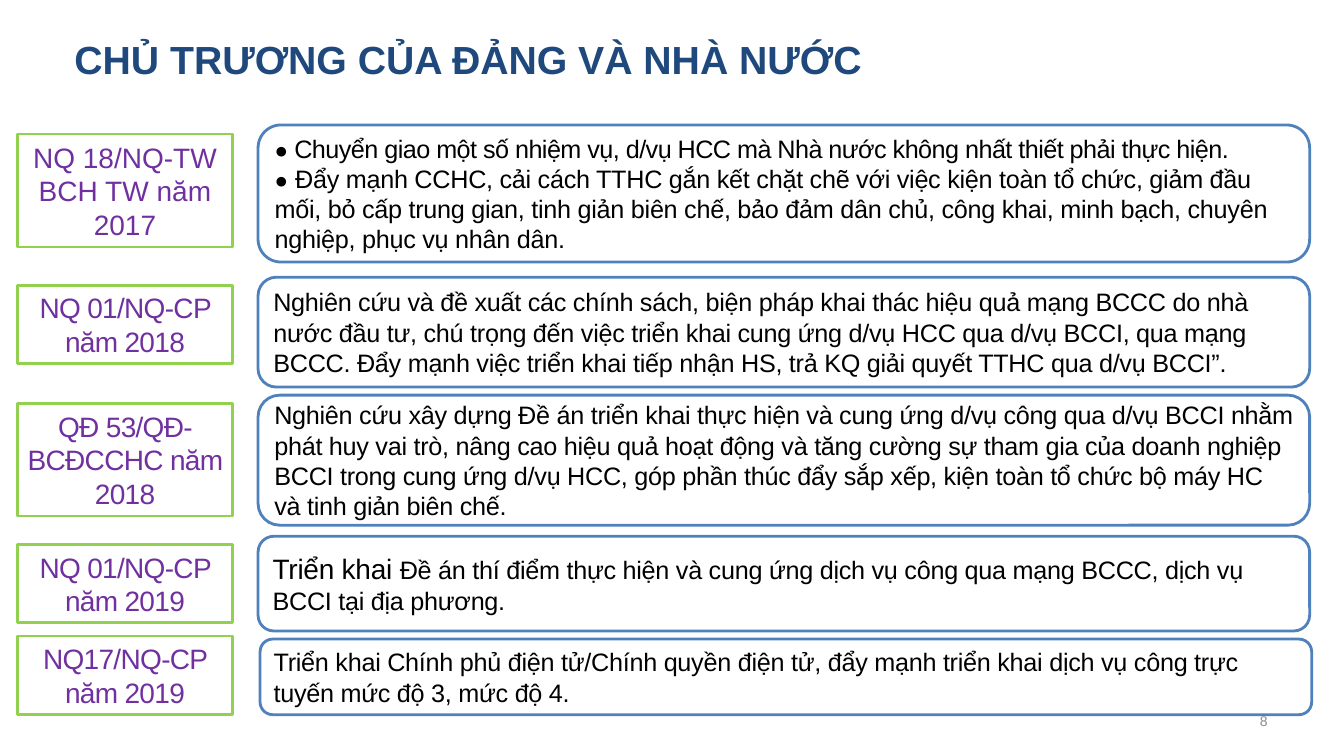
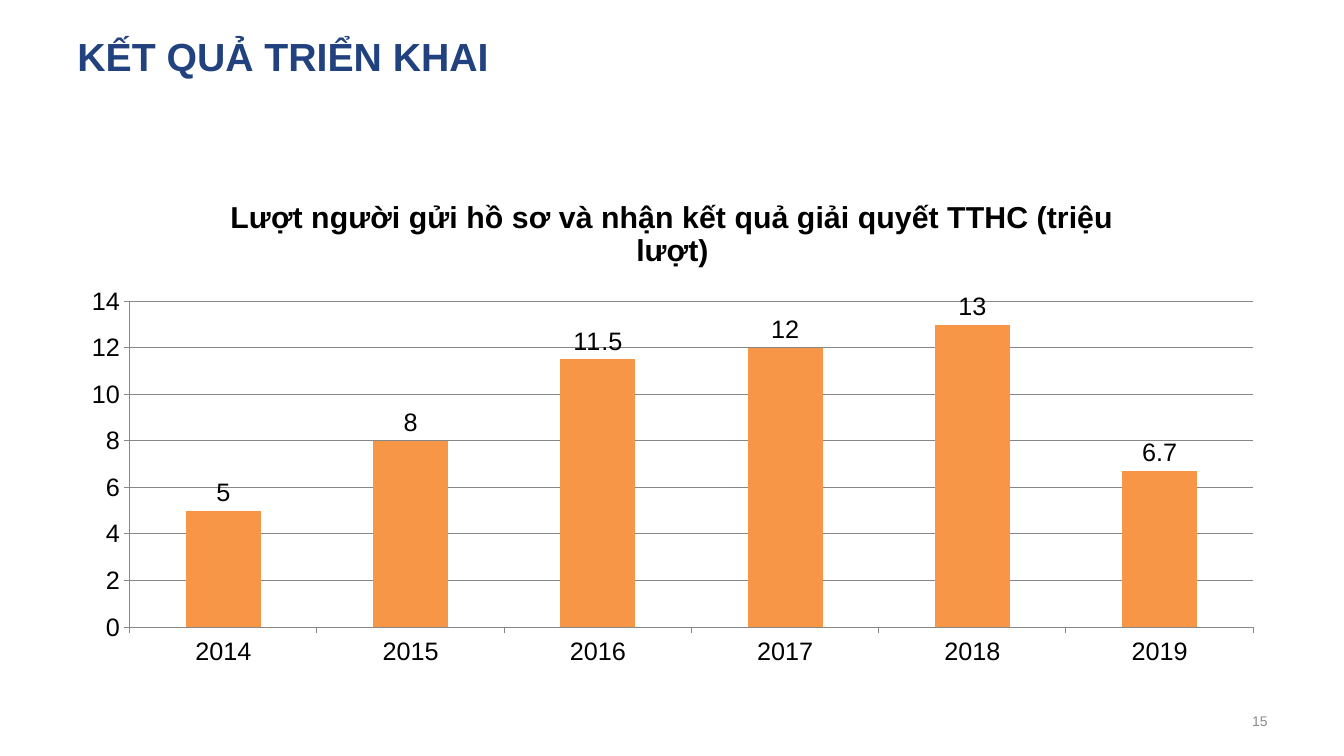
import pptx
import pptx.util
import pptx.dml.color
import pptx.chart.data
import pptx.enum.chart
import pptx.enum.shapes
import pptx.enum.text

Inches = pptx.util.Inches
Pt = pptx.util.Pt
Align = pptx.enum.text.PP_ALIGN
Anchor = pptx.enum.text.MSO_ANCHOR
Preset = pptx.enum.shapes.MSO_SHAPE

FONT = "Arial"
BLACK, WHITE, GREY = "000000", "FFFFFF", "8C8C8C"
GREEN, PURPLE, BLUE = "92D050", "7030A0", "4F81BD"
ORANGE, AXIS_GREY = "F79646", "878787"

POLICY_HEADING = ("CHỦ TRƯƠNG CỦA ĐẢNG VÀ NHÀ NƯỚC", (0.64, 0.25, 9.06, 0.66), "1F497D")
RESULT_HEADING = ("KẾT QUẢ TRIỂN KHAI", (0.67, 0.08, 12, 0.95), "21427F")

LABEL_LEFT, LABEL_WIDTH = 0.17, 2.14
LABEL_HEIGHTS = {2: 0.78, 3: 1.12}
PANEL_WIDTH = 10.43

POLICIES = [
    dict(label="NQ 18/NQ-TW BCH TW năm 2017", lines=3, label_spacing=0, label_top=1.33,
         panel=(2.56, 1.24, 1.36), text=[
             [("● ", 16, 0),
              ("Chuyển giao một số nhiệm vụ, d/vụ HCC mà Nhà nước không nhất thiết phải thực hiện.",
               18, -0.4)],
             [("●", 16, 0), (" ", 18, 0),
              ("Đẩy mạnh CCHC, cải cách TTHC gắn kết chặt chẽ với việc kiện toàn tổ chức, giảm đầu "
               "mối, bỏ cấp trung gian, tinh giản biên chế, bảo đảm dân chủ, công khai, minh bạch, "
               "chuyên nghiệp, phục vụ nhân dân.", 18, -0.2)]]),
    dict(label="NQ 01/NQ-CP năm 2018", lines=2, label_spacing=-0.5, label_top=2.83,
         panel=(2.56, 2.75, 1.09), text=[
             [("Nghiên cứu và đề xuất các chính sách, biện pháp khai thác hiệu quả mạng BCCC do nhà "
               "nước đầu tư, chú trọng đến việc triển khai cung ứng d/vụ HCC qua d/vụ BCCI, qua mạng "
               "BCCC. Đẩy mạnh việc triển khai tiếp nhận HS, trả KQ giải quyết TTHC qua d/vụ BCCI”.",
               18, -0.2)]]),
    dict(label="QĐ 53/QĐ-BCĐCCHC năm 2018", lines=3, label_spacing=-0.5, label_top=4,
         panel=(2.56, 3.92, 1.29), text=[
             [("Nghiên cứu xây dựng Đề án triển khai thực hiện và cung ứng d/vụ công qua d/vụ BCCI "
               "nhằm phát huy vai trò, nâng cao hiệu quả hoạt động và tăng cường sự tham gia của doanh "
               "nghiệp BCCI trong cung ứng d/vụ HCC, góp phần thúc đẩy sắp xếp, kiện toàn tổ chức bộ "
               "máy HC và tinh giản biên chế.", 18, -0.2)]]),
    dict(label="NQ 01/NQ-CP năm 2019", lines=2, label_spacing=-0.5, label_top=5.4,
         panel=(2.56, 5.32, 0.94), text=[
             [("Triển khai ", 20, -0.2),
              ("Đề án thí điểm thực hiện và cung ứng dịch vụ công qua mạng BCCC, dịch vụ "
               "BCCI tại địa phương.", 18, -0.2)]]),
    dict(label="NQ17/NQ-CP năm 2019", lines=2, label_spacing=-0.5, label_top=6.31,
         panel=(2.58, 6.34, 0.75), text=[
             [("Triển khai Chính phủ điện tử/Chính quyền điện tử, đẩy mạnh triển khai dịch vụ công "
               "trực tuyến mức độ 3, mức độ 4.", 18, -0.2)]]),
]

SUBMISSIONS = {"2014": 5, "2015": 8, "2016": 11.5, "2017": 12, "2018": 13, "2019": 6.7}
CHART_TITLE = "Lượt người gửi hồ sơ và nhận kết quả giải quyết TTHC (triệu lượt)"


def rgb(code):
    return pptx.dml.color.RGBColor.from_string(code)


def assign(target, values):
    for name, value in values.items():
        setattr(target, name, value)


def style_font(font, size, colour, bold=False):
    assign(font, dict(name=FONT, size=Pt(size), bold=bold))
    font.color.rgb = rgb(colour)


def write(shape, paragraphs, colour, align=Align.LEFT, bold=False):
    frame = shape.text_frame
    assign(frame, dict(word_wrap=True, vertical_anchor=Anchor.MIDDLE))
    for index, pieces in enumerate(paragraphs):
        paragraph = frame.add_paragraph() if index else frame.paragraphs[0]
        paragraph.alignment = align
        for text, size, spacing in pieces:
            run = paragraph.add_run()
            run.text = text
            style_font(run.font, size, colour, bold)
            if spacing:
                run.font._element.set("spc", str(round(spacing * 100)))


def add_text(slide, place, text, size, colour, **style):
    box = slide.shapes.add_textbox(*map(Inches, place))
    write(box, [[(text, size, 0)]], colour, **style)


def add_frame(slide, preset, place, line, fill=None):
    frame = slide.shapes.add_shape(preset, *map(Inches, place))
    frame.shadow.inherit = False
    if fill:
        frame.fill.solid()
        frame.fill.fore_color.rgb = rgb(fill)
    else:
        frame.fill.background()
    frame.line.color.rgb = rgb(line)
    frame.line.width = Pt(2)
    return frame


def add_slide(deck, heading, number):
    slide = deck.slides.add_slide(deck.slide_layouts[6])
    title, place, colour = heading
    add_text(slide, place, title, 28, colour, bold=True)
    add_text(slide, (9.56, 6.95, 3.11, 0.4), number, 10, GREY, align=Align.RIGHT)
    return slide


def add_policy(slide, policy):
    left, top, height = policy["panel"]
    panel = add_frame(slide, Preset.ROUNDED_RECTANGLE, (left, top, PANEL_WIDTH, height), BLUE, WHITE)
    write(panel, policy["text"], BLACK)
    label_place = (LABEL_LEFT, policy["label_top"], LABEL_WIDTH, LABEL_HEIGHTS[policy["lines"]])
    label = add_frame(slide, Preset.RECTANGLE, label_place, GREEN)
    write(label, [[(policy["label"], 20, policy["label_spacing"])]], PURPLE, Align.CENTER)


def add_submission_chart(slide):
    data = pptx.chart.data.CategoryChartData()
    data.categories = list(SUBMISSIONS)
    data.add_series("Series 1", list(SUBMISSIONS.values()))
    kind = pptx.enum.chart.XL_CHART_TYPE.COLUMN_CLUSTERED
    chart = slide.shapes.add_chart(kind, *map(Inches, (0.67, 1.75, 12, 4.95)), data).chart
    assign(chart, dict(has_legend=False, has_title=True))
    style_font(chart.font, 18, BLACK)

    title = chart.chart_title
    title.include_in_layout = False
    title.text_frame.text = CHART_TITLE
    style_font(title.text_frame.paragraphs[0].runs[0].font, 21.6, BLACK, bold=True)

    plot = chart.plots[0]
    assign(plot, dict(gap_width=150, vary_by_categories=False, has_data_labels=True))
    assign(plot.data_labels, dict(
        show_value=True, position=pptx.enum.chart.XL_LABEL_POSITION.OUTSIDE_END))
    style_font(plot.data_labels.font, 18, BLACK)
    columns = plot.series[0].format.fill
    columns.solid()
    columns.fore_color.rgb = rgb(ORANGE)

    values = chart.value_axis
    assign(values, dict(minimum_scale=0, maximum_scale=14, major_unit=2, has_major_gridlines=True))
    for axis in (chart.category_axis, values):
        axis.major_tick_mark = pptx.enum.chart.XL_TICK_MARK.OUTSIDE
        style_font(axis.tick_labels.font, 18, BLACK)
    for part in (chart.category_axis, values, values.major_gridlines):
        part.format.line.color.rgb = rgb(AXIS_GREY)
        part.format.line.width = Pt(0.75)


def main():
    deck = pptx.Presentation()
    assign(deck, dict(slide_width=Inches(13.33), slide_height=Inches(7.5)))
    policy_slide = add_slide(deck, POLICY_HEADING, "8")
    for policy in POLICIES:
        add_policy(policy_slide, policy)
    add_submission_chart(add_slide(deck, RESULT_HEADING, "15"))
    deck.save("out.pptx")


if __name__ == "__main__":
    main()
